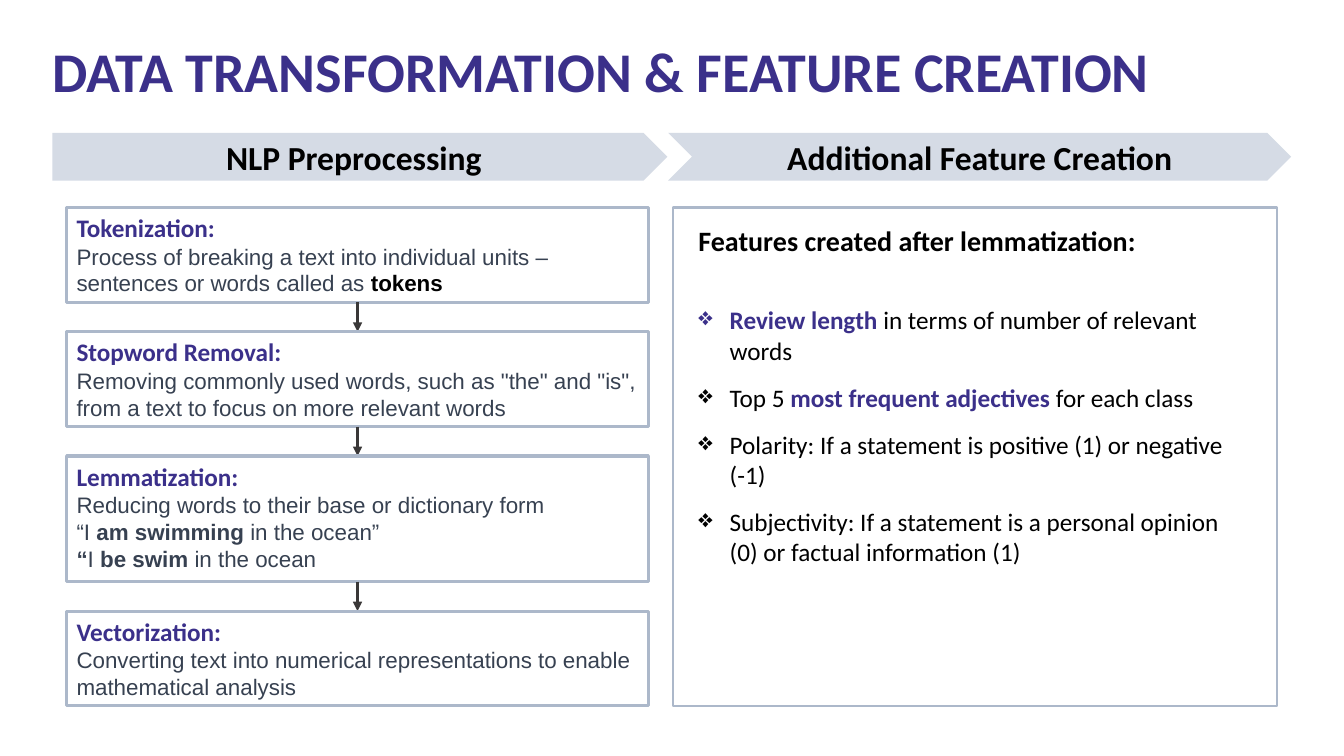
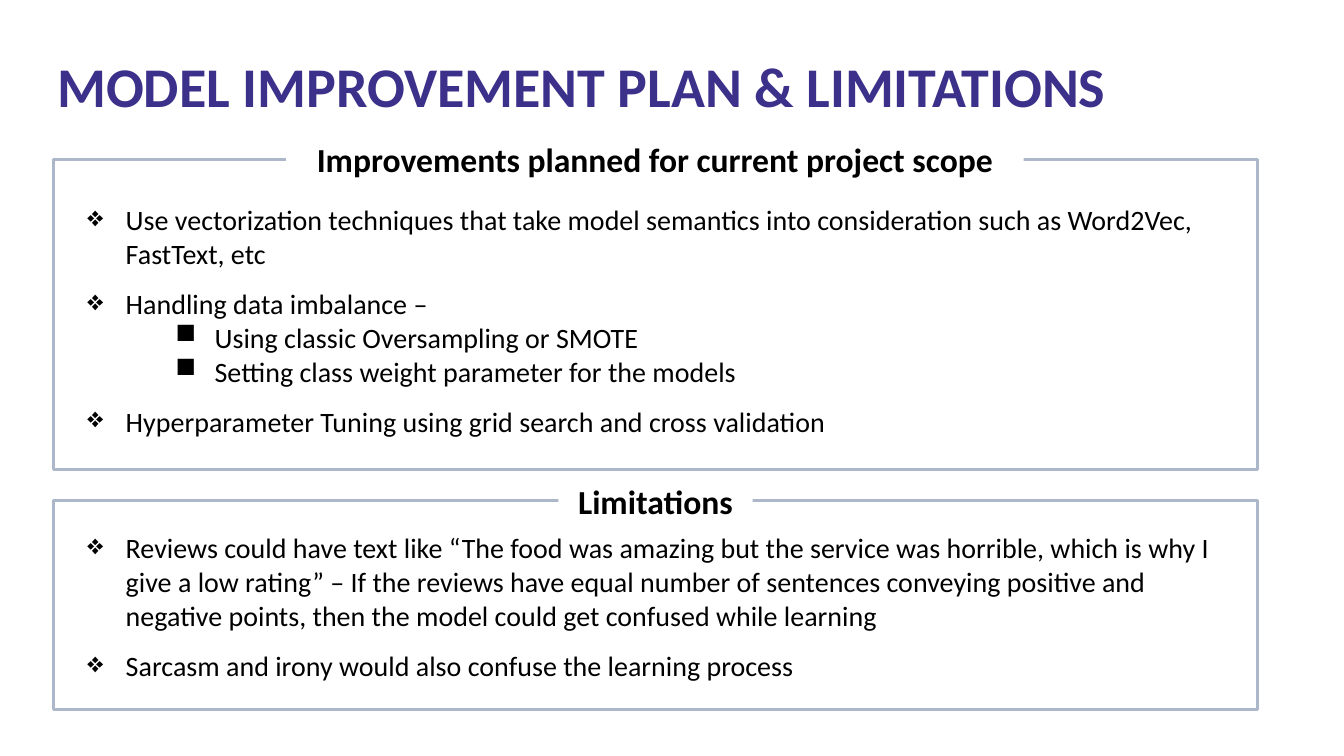
from lxml import etree
from pptx import Presentation, util as u
from pptx.dml.color import RGBColor
from pptx.enum import shapes as es, text as et
from pptx.oxml import ns

PURPLE = RGBColor(0x3B, 0x30, 0x8A)
BLACK = RGBColor(0, 0, 0)
WHITE = RGBColor(0xFF, 0xFF, 0xFF)
SLATE = RGBColor(0x37, 0x41, 0x51)
BAND = RGBColor(0xD5, 0xDB, 0xE5)
EDGE = RGBColor(0xAC, 0xB8, 0xCA)
DARK = RGBColor(0x3A, 0x38, 0x38)

TITLE = dict(name="Calibri", size=u.Pt(40), bold=True, color=PURPLE)
HEAD = dict(TITLE, size=u.Pt(24), color=BLACK)
STEP = dict(TITLE, size=u.Pt(18))
LEAD = dict(HEAD, size=u.Pt(20))
BODY = dict(LEAD, bold=False)
ITEM = dict(BODY, size=u.Pt(18))
NOTE = dict(name="Arial", size=u.Pt(16), bold=False, color=SLATE)
BOLD = dict(NOTE, bold=True)

LEFT = dict(alignment=et.PP_ALIGN.LEFT)
MID = dict(alignment=et.PP_ALIGN.CENTER)
GAP = dict(LEFT, space_before=u.Pt(12))
# bullet sign, text indent, hanging indent, colour
FEAT = dict(GAP, mark=("❖", 0.79, 0.79, BLACK))
MAIN = dict(GAP, mark=("❖", 1.57, 0.97, BLACK))
SUB = dict(LEFT, level=1, mark=("■", 3.81, 0.99, BLACK))

RECT = es.MSO_SHAPE.RECTANGLE


def write(frame, rows, anchor=et.MSO_ANCHOR.TOP):
    """Fill a frame with rows of (paragraph format, [(text, font format)])."""
    frame.word_wrap = True
    frame.auto_size = et.MSO_AUTO_SIZE.NONE
    frame.vertical_anchor = anchor
    for i, (form, runs) in enumerate(rows):
        para = frame.add_paragraph() if i else frame.paragraphs[0]
        for key, val in form.items():
            if key != "mark":
                setattr(para, key, val)
        if "mark" in form:
            sign, indent, hang, color = form["mark"]
            props = para._p.get_or_add_pPr()
            props.set("marL", str(u.Cm(indent)))
            props.set("indent", str(-u.Cm(hang)))
            tint = etree.SubElement(props, ns.qn("a:buClr"))
            etree.SubElement(tint, ns.qn("a:srgbClr"), val=str(color))
            etree.SubElement(props, ns.qn("a:buChar"), char=sign)
        for words, style in runs:
            run = para.add_run()
            run.text = words
            for key, val in style.items():
                if key == "color":
                    run.font.color.rgb = val
                else:
                    setattr(run.font, key, val)


def box(slide, kind, place, fill=None, width=0):
    """Add a shape at a place in cm, with an edge if a width is given."""
    shape = slide.shapes.add_shape(kind, *map(u.Cm, place))
    shape.shadow.inherit = False
    if fill is None:
        shape.fill.background()
    else:
        shape.fill.solid()
        shape.fill.fore_color.rgb = fill
    if width:
        shape.line.color.rgb = EDGE
        shape.line.width = u.Pt(width)
    else:
        shape.line.fill.background()
    return shape.text_frame


deck = Presentation()
deck.slide_width, deck.slide_height = u.Cm(33.87), u.Cm(19.05)

titles = [
    ("DATA TRANSFORMATION & FEATURE CREATION", 1.07, 0.79),
    ("MODEL IMPROVEMENT PLAN & LIMITATIONS", 1.19, 1.17),
]
for words, left, top in titles:
    slide = deck.slides.add_slide(deck.slide_layouts[5])
    title = slide.shapes.title
    title.left, title.top = u.Cm(left), u.Cm(top)
    title.width, title.height = u.Cm(30.58), u.Cm(1.96)
    write(title.text_frame, [(LEFT, [(words, TITLE)])])
data, plan = deck.slides

# Slide 1: two bands, a chain of steps and a panel of features
bands = [
    (es.MSO_SHAPE.PENTAGON, 1.32, 15.5, "NLP Preprocessing"),
    (es.MSO_SHAPE.CHEVRON, 16.84, 15.7, "Additional Feature Creation"),
]
for kind, left, width, words in bands:
    frame = box(data, kind, (left, 3.35, width, 1.2), BAND)
    write(frame, [(MID, [(words, HEAD)])], et.MSO_ANCHOR.MIDDLE)

steps = [
    ("Tokenization:", 2.39, [
        [("Process of breaking a text into individual units – sentences "
          "or words called as ", NOTE),
         ("tokens", dict(BOLD, color=BLACK))]]),
    ("Stopword Removal:", 2.39, [
        [('Removing commonly used words, such as "the" and "is", from a '
          "text to focus on more relevant words", NOTE)]]),
    ("Lemmatization:", 3.17, [
        [("Reducing words to their base or dictionary form", NOTE)],
        [("“I ", NOTE), ("am swimming", BOLD), (" in the ocean”", NOTE)],
        [("“", BOLD), ("I ", NOTE), ("be swim ", BOLD),
         ("in the ocean", NOTE)]]),
    ("Vectorization:", 2.39, [
        [("Converting text into numerical representations to enable "
          "mathematical analysis", NOTE)]]),
]
left, top, width, gap = 1.68, 5.23, 14.66, 0.74
mid = u.Cm(left + width / 2)
for i, (name, height, lines) in enumerate(steps):
    if i:
        arrow = data.shapes.add_connector(
            es.MSO_CONNECTOR.STRAIGHT, mid, u.Cm(top - gap), mid, u.Cm(top))
        arrow.line.color.rgb = DARK
        arrow.line.width = u.Pt(2.25)
        etree.SubElement(arrow.line._get_or_add_ln(), ns.qn("a:tailEnd"),
                         type="triangle")
        etree.SubElement(arrow._element.spPr, ns.qn("a:effectLst"))
    frame = box(data, RECT, (left, top, width, height), width=2.25)
    write(frame, [(LEFT, [(name, STEP)])] + [(LEFT, line) for line in lines])
    top += height + gap

box(data, RECT, (16.97, 5.23, 15.21, 12.57), width=1.5)
first = dict(FEAT, space_before=u.Pt(34), mark=("❖", 0.79, 0.79, PURPLE))
area = data.shapes.add_textbox(*map(u.Cm, (17.35, 5.51, 14.27, 12)))
write(area.text_frame, [
    (LEFT, [("Features created after lemmatization:", LEAD)]),
    (first, [("Review length ", STEP),
             ("in terms of number of relevant words", ITEM)]),
    (FEAT, [("Top 5 ", ITEM), ("most frequent adjectives ", STEP),
            ("for each class", ITEM)]),
    (FEAT, [("Polarity: If a statement is positive (1) or negative (-1)",
             ITEM)]),
    (FEAT, [("Subjectivity: If a statement is a personal opinion (0) or "
             "factual information (1)", ITEM)]),
])

# Slide 2: framed lists, each with a heading set into its top edge
panels = [
    ("Improvements planned for current project scope",
     4.01, 7.82, 1.1, (7.21, 3.38, 18.59), [
         (MAIN, "Use vectorization techniques that take model semantics into "
                "consideration such as Word2Vec, FastText, etc"),
         (MAIN, "Handling data imbalance –"),
         (SUB, "Using classic Oversampling or SMOTE"),
         (SUB, "Setting class weight parameter for the models"),
         (MAIN, "Hyperparameter Tuning using grid search and cross "
                "validation")]),
    ("Limitations",
     12.62, 5.26, 0.76, (14.07, 11.99, 4.9), [
         (MAIN, "Reviews could have text like “The food was amazing but the "
                "service was horrible, which is why I give a low rating” – "
                "If the reviews have equal number of sentences conveying "
                "positive and negative points, then the model could get "
                "confused while learning"),
         (MAIN, "Sarcasm and irony would also confuse the learning "
                "process")]),
]
for name, top, height, inset, place, items in panels:
    frame = box(plan, RECT, (1.35, top, 30.35, height), width=2.25)
    frame.margin_top = u.Cm(inset)
    rows = [(form, [(words, BODY)]) for form, words in items]
    rows[0] = (dict(MAIN, space_before=u.Pt(0)), rows[0][1])
    write(frame, rows)
    head = box(plan, RECT, (*place, 1.27), WHITE)
    write(head, [(MID, [(name, HEAD)])])

deck.save("out.pptx")
